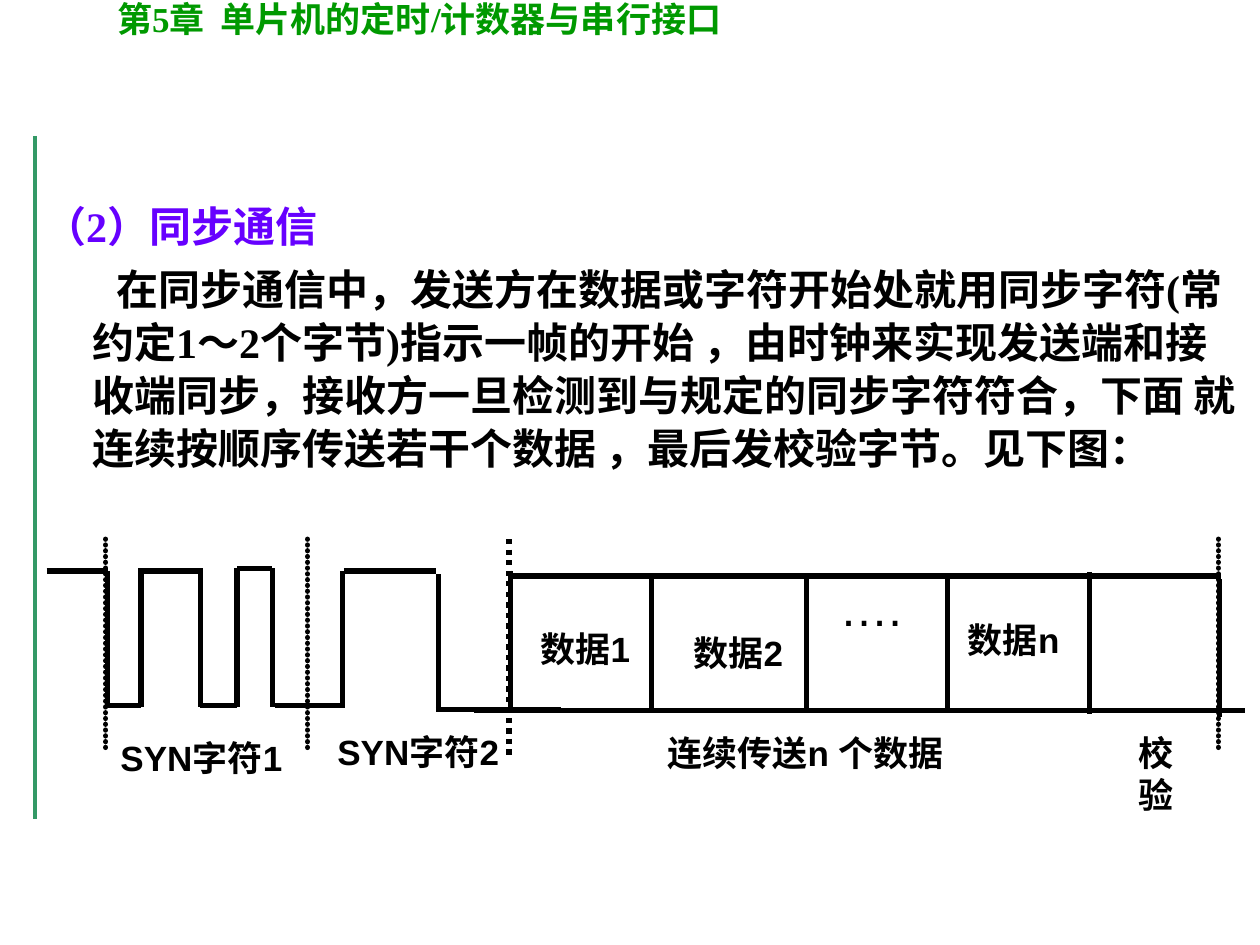
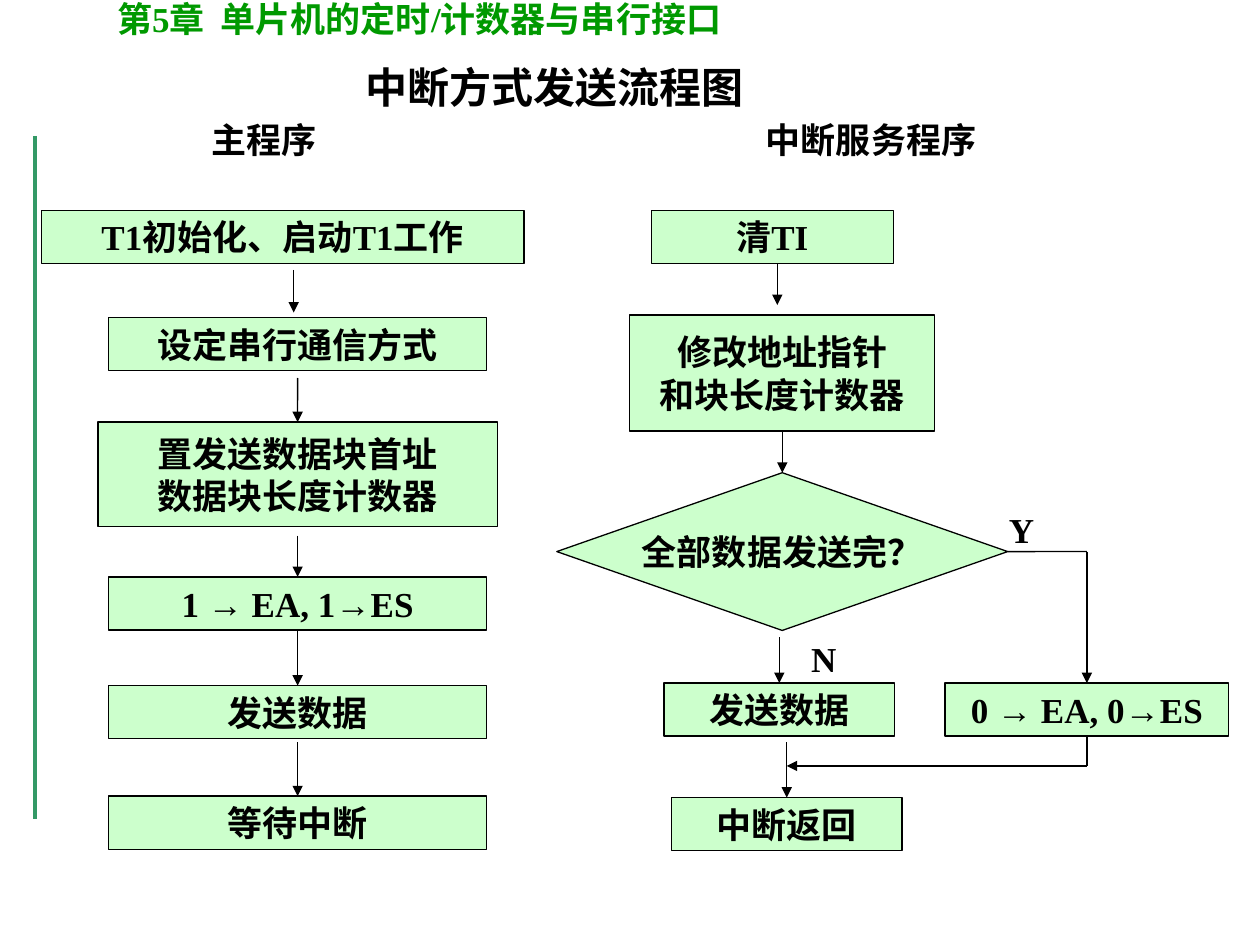
import itertools
from dataclasses import dataclass

import pptx
import pptx.util
import pptx.dml.color
import pptx.enum.dml
import pptx.enum.shapes
import pptx.enum.text
import pptx.oxml
import pptx.oxml.ns
from lxml import etree

Cm, Pt = pptx.util.Cm, pptx.util.Pt
qn = pptx.oxml.ns.qn
Align = pptx.enum.text.PP_ALIGN
Kind = pptx.enum.shapes.MSO_SHAPE


@dataclass(frozen=True)
class Theme:
    ink: str = "000000"
    rule: str = "339966"
    head: str = "009900"
    topic: str = "6600FF"
    fill: str = "CCFFCC"
    serif: str = "Times New Roman"
    sans: str = "Arial"
    text: int = 20
    large: int = 24
    dots: int = 28
    thin: float = 0.75
    band: float = 2.25
    wave: float = 3


THEME = Theme()

# Content shared by the slides (all lengths in cm)
CHAPTER = "第5章  单片机的定时/计数器与串行接口"

# Slide 1: text and timing diagram
TOPIC = "（2）同步通信"
BODY = ("在同步通信中，发送方在数据或字符开始处就用同步字符(常约定1～2个字节)指示一帧的开始 ，"
        "由时钟来实现发送端和接收端同步，接收方一旦检测到与规定的同步字符符合，"
        "下面 就连续按顺序传送若干个数据 ，最后发校验字节。见下图：")
LABELS = [  # text, left, top, width
    ("SYN字符1", -0.51, 14.73, 9.14),
    ("SYN字符2", 2.79, 14.61, 11.28),
    ("数据1", 10.49, 12.52, 2.62),
    ("数据2", 13.36, 12.6, 3.05),
    ("数据n", 19.18, 12.34, 2.51),
    ("连续传送n 个数据", 10.74, 14.63, 11),
    ("校验", 22.35, 14.63, 1.91),
]
LEVELS = {  # y: spans of x
    11.51: [(0.94, 2.18), (2.84, 4.09), (6.93, 8.79)],
    11.46: [(4.78, 5.49)],
    14.22: [(2.13, 2.84), (4.04, 4.78), (5.54, 6.91)],
    14.3: [(8.79, 11.3)],
    11.61: [(10.26, 24.61)],
    14.33: [(9.55, 25.1)],
}
EDGES = {  # (top, bottom): x of each edge
    (11.46, 14.25): [2.84, 4.04, 4.78, 5.49],
    (11.51, 14.27): [2.16, 6.91, 10.29],
    (11.58, 14.33): [8.84],
    (11.56, 14.35): [13.13, 16.26, 19.1],
    (11.53, 14.4): [21.97],
    (11.68, 14.45): [24.59],
}
BOUNDS = [2.13, 6.2, 24.56]

# Slide 2: flow charts
TITLES = [  # text, left, top, width, size, font
    ("中断方式发送流程图", 7.11, 1.12, 8.13, THEME.large, THEME.sans),
    ("主程序", 4.01, 2.26, 2.62, THEME.text, THEME.serif),
    ("中断服务程序", 15.19, 2.26, 4.75, THEME.text, THEME.serif),
    ("Y", 20.09, 10.13, 1.27, THEME.text, THEME.serif),
    ("N", 16.1, 12.73, 1.27, THEME.text, THEME.serif),
]
ROW = 1.07
STEPS = {  # name: lines, centre x, top, width, height
    "init": (["T1初始化、启动T1工作"], 5.7, 4.24, 9.73, ROW),
    "mode": (["设定串行通信方式"], 6, 6.4, 7.62, ROW),
    "block": (["置发送数据块首址", "数据块长度计数器"], 6, 8.51, 8.05, 2.11),
    "start": (["1 → EA, 1→ES"], 6, 11.63, 7.62, ROW),
    "send": (["发送数据"], 6, 13.82, 7.62, ROW),
    "wait": (["等待中断"], 6, 16.05, 7.62, ROW),
    "clear": (["清TI"], 15.57, 4.24, 4.88, ROW),
    "move": (["修改地址指针", "和块长度计数器"], 15.77, 6.35, 6.15, 2.34),
    "done": (["全部数据发送完？"], 15.77, 9.53, 9.09, 3.18),
    "next": (["发送数据"], 15.71, 13.77, 4.65, ROW),
    "back": (["中断返回"], 15.86, 16.08, 4.65, ROW),
    "stop": (["0 → EA, 0→ES"], 21.91, 13.77, 5.72, ROW),
}
TOP, LEFT, BOTTOM, RIGHT = range(4)
TURN, MERGE = (21.91, 11.12), (21.91, 15.44)
FLOWS = [  # start, end, arrow; an end is a point or (step, side)
    ((5.92, 5.44), (5.92, 6.3), True),
    ((6, 7.62), ("block", TOP), True),
    ((6, 10.8), ("start", TOP), True),
    (("start", BOTTOM), ("send", TOP), True),
    ((6, 14.96), ("wait", TOP), True),
    ((15.67, 5.31), (15.67, 6.15), True),
    (("move", BOTTOM), ("done", TOP), True),
    ((15.71, 12.85), ("next", TOP), True),
    ((15.86, 14.96), ("back", TOP), True),
    (("done", RIGHT), TURN, False),
    (TURN, ("stop", TOP), True),
    (("stop", BOTTOM), MERGE, False),
    (MERGE, (15.86, 15.44), True),
]


def rgb(code):
    return pptx.dml.color.RGBColor.from_string(code)


def write(para, text, size=THEME.text, font=THEME.serif, color=THEME.ink,
          bold=True, align=None, spread=None, before=None):
    """Fill one paragraph; arrow signs take the sans font."""
    para.alignment = align
    para.line_spacing = spread
    para.space_before = before
    for sign, part in itertools.groupby(text, lambda c: c == "→"):
        run = para.add_run()
        run.text = "".join(part)
        run.font.name = THEME.sans if sign else font
        run.font.size = Pt(size)
        run.font.bold = bold
        run.font.color.rgb = rgb(color)


def box(slide, left, top, width, height=1.12, wrap=True):
    frame = slide.shapes.add_textbox(
        Cm(left), Cm(top), Cm(width), Cm(height)).text_frame
    frame.word_wrap = wrap
    return frame


def line(slide, start, end, width=THEME.wave, color=THEME.ink, arrow=False,
         dash=None, beads=False, steps=None):
    """Draw a straight line; ends named after a step are joined to it."""
    named = [isinstance(p[0], str) for p in (start, end)]
    a, b = [(0, 0) if n else p for n, p in zip(named, (start, end))]
    link = slide.shapes.add_connector(
        pptx.enum.shapes.MSO_CONNECTOR.STRAIGHT, Cm(a[0]), Cm(a[1]), Cm(b[0]), Cm(b[1]))
    if named[0]:
        link.begin_connect(steps[start[0]], start[1])
    if named[1]:
        link.end_connect(steps[end[0]], end[1])
    link.line.width = Pt(width)
    link.line.color.rgb = rgb(color)
    if dash:
        link.line.dash_style = dash
    stroke = link.line._get_or_add_ln()
    if beads:
        stroke.set("cap", "rnd")
        cust = etree.SubElement(stroke, qn("a:custDash"))
        etree.SubElement(cust, qn("a:ds"), d="100000", sp="10000")
    if arrow:
        etree.SubElement(stroke, qn("a:tailEnd"), type="triangle")
    etree.SubElement(link._element.spPr, qn("a:effectLst"))


def page(deck):
    """Add a blank slide with the side rule and the chapter line."""
    slide = deck.slides.add_slide(deck.slide_layouts[6])
    line(slide, (0.71, 2.74), (0.71, 16.51), THEME.band, THEME.rule)
    frame = box(slide, 2.11, -0.18, 14.61)
    write(frame.paragraphs[0], CHAPTER, color=THEME.head)
    return slide


def indent(para, left, first):
    props = para._p.get_or_add_pPr()
    props.set("marL", str(Cm(left)))
    props.set("indent", str(Cm(first)))


def sync(deck):
    slide = page(deck)

    # Explanation
    frame = box(slide, 0.64, 4.11, 24.76, 5.92)
    lead, rest = frame.paragraphs[0], frame.add_paragraph()
    indent(lead, 0.97, -0.97)
    indent(rest, 0.97, 0.48)
    write(lead, TOPIC, size=THEME.large, color=THEME.topic, spread=0.8)
    write(rest, BODY, size=THEME.large, spread=1.05, before=Pt(6))

    # Labels
    for text, left, top, width in LABELS:
        frame = box(slide, left, top, width)
        write(frame.paragraphs[0], text, font=THEME.sans, align=Align.CENTER)
    frame = box(slide, 15.37, 11.51, 4.37, 1.45)
    write(frame.paragraphs[0], "….", size=THEME.dots, font=THEME.sans,
          bold=False, align=Align.CENTER)

    # Signal levels and edges
    for y, spans in LEVELS.items():
        for x, end in spans:
            line(slide, (x, y), (end, y))
    for (top, low), places in EDGES.items():
        for x in places:
            line(slide, (x, top), (x, low))

    # Frame bounds
    for x in BOUNDS:
        line(slide, (x, 10.87), (x, 15.11), beads=True)
    line(slide, (10.26, 10.87), (10.26, 15.32),
         dash=pptx.enum.dml.MSO_LINE.ROUND_DOT)


def flow(deck):
    slide = page(deck)

    # Titles and branch marks
    for text, left, top, width, size, font in TITLES:
        frame = box(slide, left, top, width, wrap=False)
        write(frame.paragraphs[0], text, size=size, font=font)

    # Steps
    steps = {}
    for name, (lines, mid, top, width, height) in STEPS.items():
        kind = Kind.FLOWCHART_DECISION if name == "done" else Kind.FLOWCHART_PROCESS
        step = slide.shapes.add_shape(
            kind, Cm(mid - width / 2), Cm(top), Cm(width), Cm(height))
        step.shadow.inherit = False
        step.fill.solid()
        step.fill.fore_color.rgb = rgb(THEME.fill)
        step.line.color.rgb = rgb(THEME.ink)
        step.line.width = Pt(THEME.thin)
        frame = step.text_frame
        frame.word_wrap = False
        frame.vertical_anchor = pptx.enum.text.MSO_ANCHOR.MIDDLE
        for n, text in enumerate(lines):
            para = frame.add_paragraph() if n else frame.paragraphs[0]
            write(para, text, align=Align.CENTER)
        steps[name] = step

    # Arrows
    for start, end, arrow in FLOWS:
        line(slide, start, end, THEME.thin, arrow=arrow, steps=steps)


def main():
    deck = pptx.Presentation()
    deck.slide_width, deck.slide_height = Cm(25.4), Cm(19.05)
    sync(deck)
    flow(deck)
    deck.save("out.pptx")


if __name__ == "__main__":
    main()
